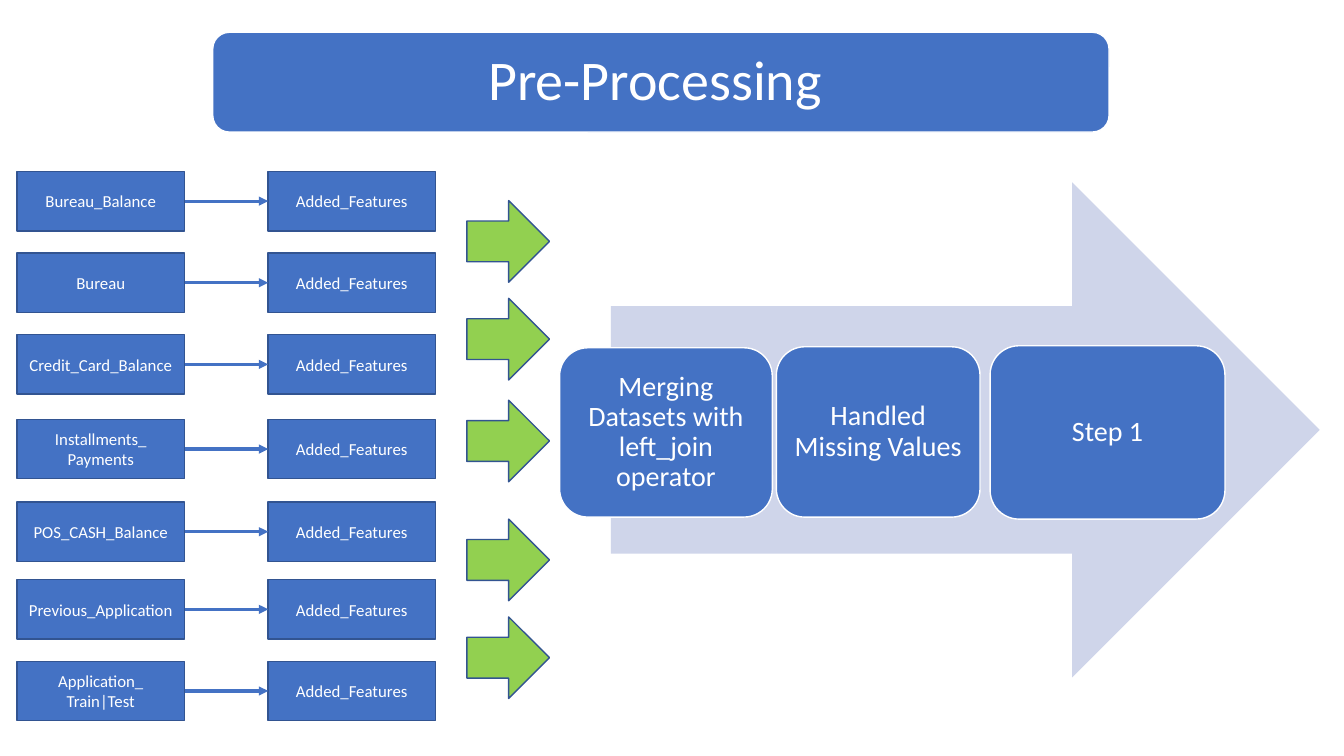
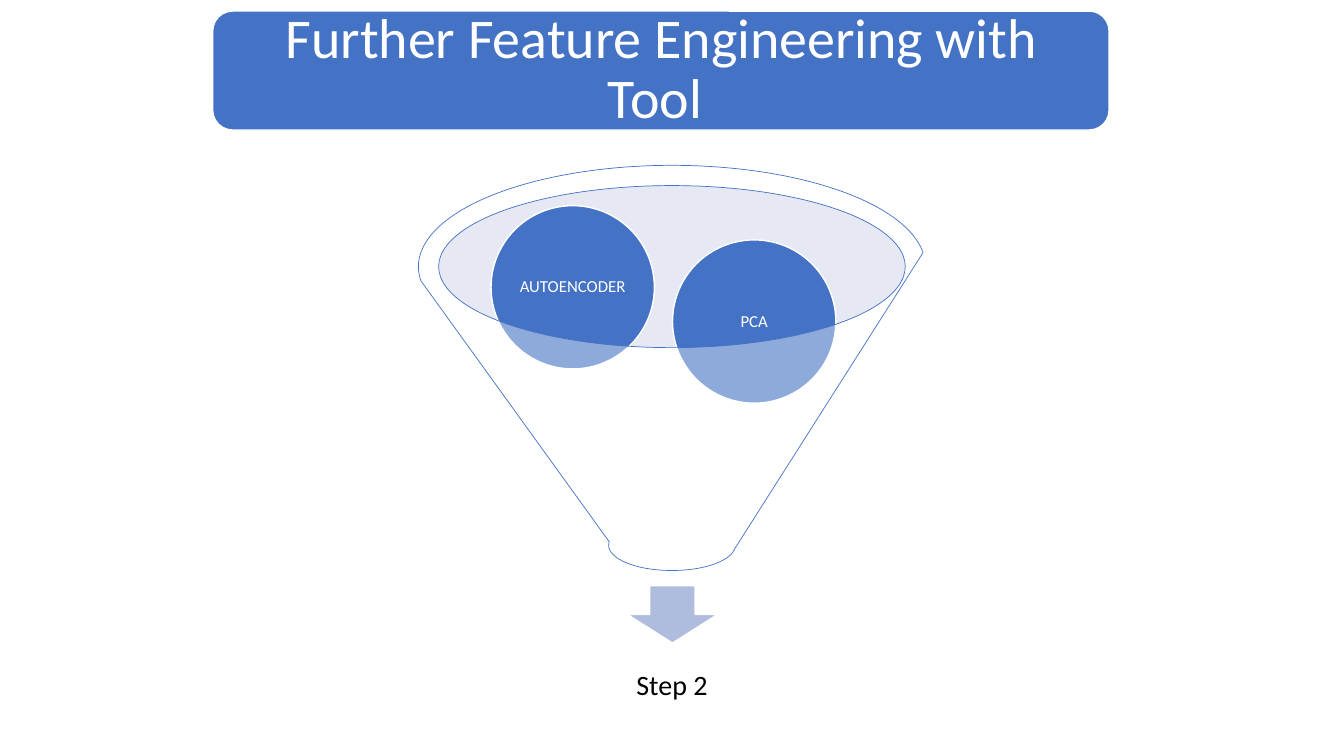
from lxml.etree import SubElement
from pptx import Presentation
from pptx.dml.color import RGBColor
from pptx.enum.shapes import MSO_CONNECTOR, MSO_SHAPE
from pptx.enum.text import MSO_ANCHOR, MSO_AUTO_SIZE, PP_ALIGN
from pptx.oxml.ns import qn
from pptx.util import Emu, Pt

PX = 9144
FONT = "Calibri"
BLUE = "4472C4"
EDGE = "325491"
GREEN = "92D050"
PALE = "CFD5EA"
FUNNEL_MOUTH = "C1C9E4"
FUNNEL_ARROW = "B0BCDE"
WHITE = "FFFFFF"
BLACK = "000000"

ROWS = [
    (170, "Bureau_Balance"),
    (251, "Bureau"),
    (332, "Credit_Card_Balance"),
    (416, "Installments_\nPayments"),
    (498, "POS_CASH_Balance"),
    (575, "Previous_Application"),
    (656, "Application_\nTrain|Test"),
]
MERGE_ARROW_TOPS = [199, 296, 397, 515, 612]
STAGES = [
    (555, 345, 211, 168, "Merging Datasets with left_join operator"),
    (770, 344, 202, 169, "Handled Missing Values"),
    (982, 343, 233, 172, "Step 1"),
]
FEATURES = [(667, 238, "PCA"), (487, 204, "AUTOENCODER")]


def px(n):
    return Emu(n * PX)


def rgb(value):
    return RGBColor.from_string(value)


def box(x, y, w, h):
    return px(x), px(y), px(w), px(h)


def write(sp, text, size, color=WHITE, inset=None, spacing=0.9):
    tf = sp.text_frame
    tf.word_wrap = True
    tf.auto_size = MSO_AUTO_SIZE.NONE
    tf.vertical_anchor = MSO_ANCHOR.MIDDLE
    if inset is not None:
        tf.margin_left = tf.margin_right = px(inset)
        tf.margin_top = tf.margin_bottom = px(inset)
    for i, line in enumerate(text.split("\n")):
        p = tf.add_paragraph() if i else tf.paragraphs[0]
        p.alignment = PP_ALIGN.CENTER
        p.line_spacing = spacing
        r = p.add_run()
        r.text = line
        r.font.name = FONT
        r.font.size = Pt(size)
        r.font.color.rgb = rgb(color)


def add_shape(s, kind, at, fill, line=None, width=1, alpha=None):
    sp = s.shapes.add_shape(kind, *box(*at))
    sp.shadow.inherit = False
    sp.fill.solid()
    sp.fill.fore_color.rgb = rgb(fill)
    if alpha is not None:
        clr = sp.fill._xPr.find(qn("a:solidFill")).find(qn("a:srgbClr"))
        SubElement(clr, qn("a:alpha"), val=str(alpha * 1000))
    if line:
        sp.line.color.rgb = rgb(line)
        sp.line.width = Pt(width)
    else:
        sp.line.fill.background()
    return sp


def add_link(s, start, end):
    cx = s.shapes.add_connector(MSO_CONNECTOR.STRAIGHT, 0, 0, 0, 0)
    cx.begin_connect(start, 3)
    cx.end_connect(end, 1)
    cx.line.color.rgb = rgb(BLUE)
    cx.line.width = Pt(2.25)
    spPr = cx._element.spPr
    SubElement(spPr.find(qn("a:ln")), qn("a:tailEnd"), type="triangle")
    SubElement(spPr, qn("a:effectLst"))


def add_titled_slide(prs, text, top, height):
    s = prs.slides.add_slide(prs.slide_layouts[5])
    band = add_shape(s, MSO_SHAPE.ROUNDED_RECTANGLE,
                     (211, top, 889, height), BLUE, WHITE)
    title = s.shapes.title
    title._element.addprevious(band._element)
    title.left, title.top, title.width, title.height = box(
        218, top + 5, 876, height - 10)
    write(title, text, 40, inset=19)
    return s


def add_dataset_box(s, x, y, text):
    sp = add_shape(s, MSO_SHAPE.RECTANGLE, (x, y, 166, 59), BLUE, EDGE)
    write(sp, text, 12, spacing=1.0)
    return sp


def build_preprocessing(prs):
    s = add_titled_slide(prs, "Pre-Processing ", 32, 99)
    for y, name in ROWS:
        dataset = add_dataset_box(s, 17, y, name)
        features = add_dataset_box(s, 266, y, "Added_Features")
        add_link(s, dataset, features)
    add_shape(s, MSO_SHAPE.RIGHT_ARROW, (606, 181, 703, 491), PALE)
    for *at, text in STAGES:
        stage = add_shape(s, MSO_SHAPE.ROUNDED_RECTANGLE, at, BLUE, WHITE)
        write(stage, text, 20, inset=8)
    for y in MERGE_ARROW_TOPS:
        add_shape(s, MSO_SHAPE.RIGHT_ARROW, (463, y, 82, 81), GREEN, EDGE)


def build_feature_engineering(prs):
    s = add_titled_slide(prs, "Further Feature Engineering with Tool ", 11, 118)
    add_shape(s, MSO_SHAPE.OVAL, (435, 184, 463, 161), FUNNEL_MOUTH, alpha=40)
    add_shape(s, MSO_SHAPE.DOWN_ARROW, (622, 581, 90, 57), FUNNEL_ARROW, WHITE)
    step = s.shapes.add_textbox(*box(451, 627, 431, 108))
    write(step, "Step 2", 20, BLACK, inset=16)
    for x, y, text in FEATURES:
        ball = add_shape(s, MSO_SHAPE.OVAL, (x, y, 162, 162), BLUE, WHITE)
        write(ball, text, 12, inset=2)
    add_shape(s, MSO_SHAPE.FUNNEL, (415, 164, 503, 402), WHITE, BLUE, 0.5, 40)


def main():
    prs = Presentation()
    prs.slide_width, prs.slide_height = px(1333), px(750)
    build_preprocessing(prs)
    build_feature_engineering(prs)
    prs.save("out.pptx")


if __name__ == "__main__":
    main()
